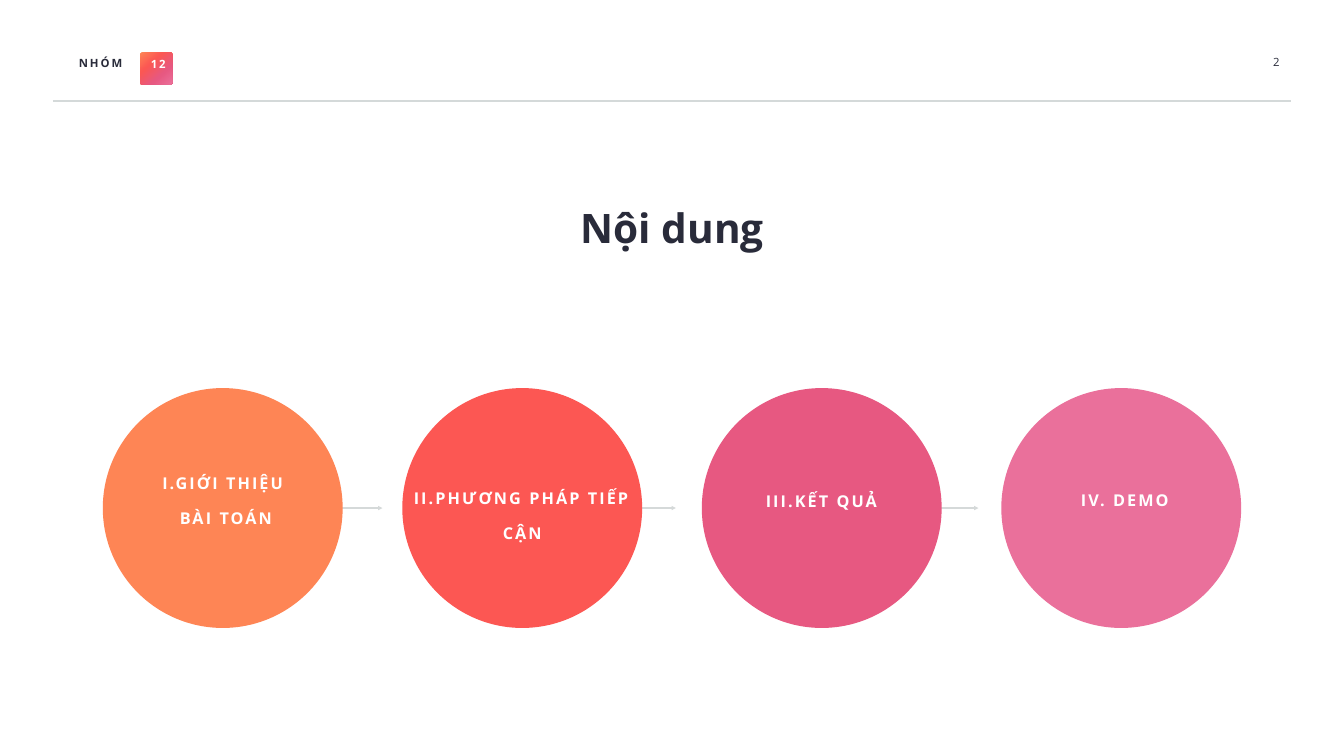
from copy import deepcopy

from lxml import etree
from pptx import Presentation, util as u
from pptx.dml.color import RGBColor
from pptx.enum import shapes, text
from pptx.oxml.ns import qn

WIDTH, HEIGHT = 26.67, 15
FONT = "Open Sans"
INK = RGBColor(0x29, 0x2B, 0x3A)
WHITE = RGBColor(0xFF, 0xFF, 0xFF)
RULE = RGBColor(0xD4, 0xD9, 0xD9)
ARROW = RGBColor(0xD5, 0xD9, 0xD9)
ORANGE = RGBColor(0xFE, 0x85, 0x55)
RED = RGBColor(0xFC, 0x57, 0x53)
ROSE = RGBColor(0xE7, 0x58, 0x81)
PINK = RGBColor(0xEA, 0x70, 0x9B)
PALETTE = (ORANGE, RED, ROSE, PINK)
RAISED = "45000"

STEPS = (
    (("I.GIỚI THIỆU", " BÀI TOÁN"), (0, 1.65, 4.76, 1.46), 3.63),
    (("II.PHƯƠNG PHÁP TIẾP CẬN",), (0, 1.61, 4.76, 2.13), 3.51),
    (("III.KẾT QUẢ",), (0.41, 1.99, 3.93, 0.79), 3.57),
    (("IV. DEMO",), (0.41, 1.97, 4.08, 0.79), None),
)


def inches(*lengths):
    return [u.Inches(length) for length in lengths]


def add_label(parent, box, lines, size, color, bold=True, tracking=0,
              align=text.PP_ALIGN.CENTER, anchor=text.MSO_ANCHOR.MIDDLE,
              wrap=True, line_spacing=None):
    label = parent.add_textbox(*inches(*box))
    frame = label.text_frame
    frame.text = "\n".join(lines)
    frame.word_wrap = wrap
    frame.auto_size = text.MSO_AUTO_SIZE.SHAPE_TO_FIT_TEXT
    frame.vertical_anchor = anchor
    frame.margin_left = frame.margin_right = u.Inches(0.06)
    frame.margin_top = frame.margin_bottom = u.Inches(0.06)
    for paragraph in frame.paragraphs:
        paragraph.alignment = align
        if line_spacing:
            paragraph.line_spacing = line_spacing
        for run in paragraph.runs:
            run.font.name = FONT
            run.font.size = u.Pt(size)
            run.font.bold = bold
            run.font.color.rgb = color
            properties = run.font._element
            properties.set("baseline", RAISED)
            if tracking:
                properties.set("spc", str(round(tracking * 100)))


def add_line(parent, left, right, y, color, arrow=False):
    line = parent.add_connector(
        shapes.MSO_CONNECTOR.STRAIGHT, *inches(left, y, right, y))
    line.line.color.rgb = color
    line.line.width = u.Pt(2)
    if arrow:
        outline = line.line._get_or_add_ln()
        etree.SubElement(outline, qn("a:tailEnd"), type="triangle")
    etree.SubElement(line._element.spPr, qn("a:effectLst"))


def add_badge(parent, left, top, side):
    group = parent.add_group_shape().shapes
    badge = group.add_shape(shapes.MSO_SHAPE.ROUNDED_RECTANGLE,
                            *inches(left, top, side, side))
    badge.adjustments[0] = 0.07
    badge.shadow.inherit = False
    badge.line.fill.background()
    badge.fill.gradient()
    badge.fill.gradient_angle = 312
    stops = badge._element.spPr.find(qn("a:gradFill")).find(qn("a:gsLst"))
    while len(stops) < len(PALETTE):
        stops.append(deepcopy(stops[0]))
    for stop, color, position in zip(
            badge.fill.gradient_stops, PALETTE, (0, 0.34, 0.68, 1)):
        stop.color.rgb = color
        stop.position = position
    add_label(group, (left + 0.04, top + 0.05, side, 0.58), ["12"], 28,
              WHITE, tracking=2.8, wrap=False)


def add_header(parent, left, top, width, height):
    add_badge(parent, left + 1.73, top, 0.64)
    add_label(parent, (left + 0.16, top + 0.02, 1.57, 0.58), ["NHÓM"], 28,
              INK, tracking=2.8, wrap=False)
    add_line(parent, left, left + width, top + height, RULE)
    add_label(parent, (left + width - 1.1, top, 0.94, 0.64), ["2"], 28, INK,
              bold=False, align=text.PP_ALIGN.RIGHT,
              anchor=text.MSO_ANCHOR.TOP)


def add_step(parent, left, top, diameter, step, color):
    lines, (dx, dy, width, height), arrow_start = step
    group = parent.add_group_shape().shapes
    if arrow_start:
        start = left + arrow_start
        add_line(group, start, start + 1.92, top + diameter / 2, ARROW, True)
    circle = group.add_shape(shapes.MSO_SHAPE.OVAL,
                             *inches(left, top, diameter, diameter))
    circle.shadow.inherit = False
    circle.fill.solid()
    circle.fill.fore_color.rgb = color
    circle.line.fill.background()
    add_label(group, (left + dx, top + dy, width, height), lines, 40, WHITE,
              tracking=3)


def add_agenda(parent, left, top, width, height):
    pitch = (width - height) / (len(STEPS) - 1)
    for index, (step, color) in enumerate(zip(STEPS, PALETTE)):
        add_step(parent, left + index * pitch, top, height, step, color)


def main():
    deck = Presentation()
    deck.slide_width, deck.slide_height = inches(WIDTH, HEIGHT)
    slide = deck.slides.add_slide(deck.slide_layouts[6])
    slide.background.fill.solid()
    slide.background.fill.fore_color.rgb = WHITE
    add_header(slide.shapes, 1.05, 1.04, 24.56, 0.96)
    add_label(slide.shapes, (1.6, 4.32, 23.48, 1.46), ["Nội dung"], 100, INK,
              line_spacing=0.8)
    add_agenda(slide.shapes, 2.04, 7.7, 22.59, 4.76)
    deck.save("out.pptx")


if __name__ == "__main__":
    main()
